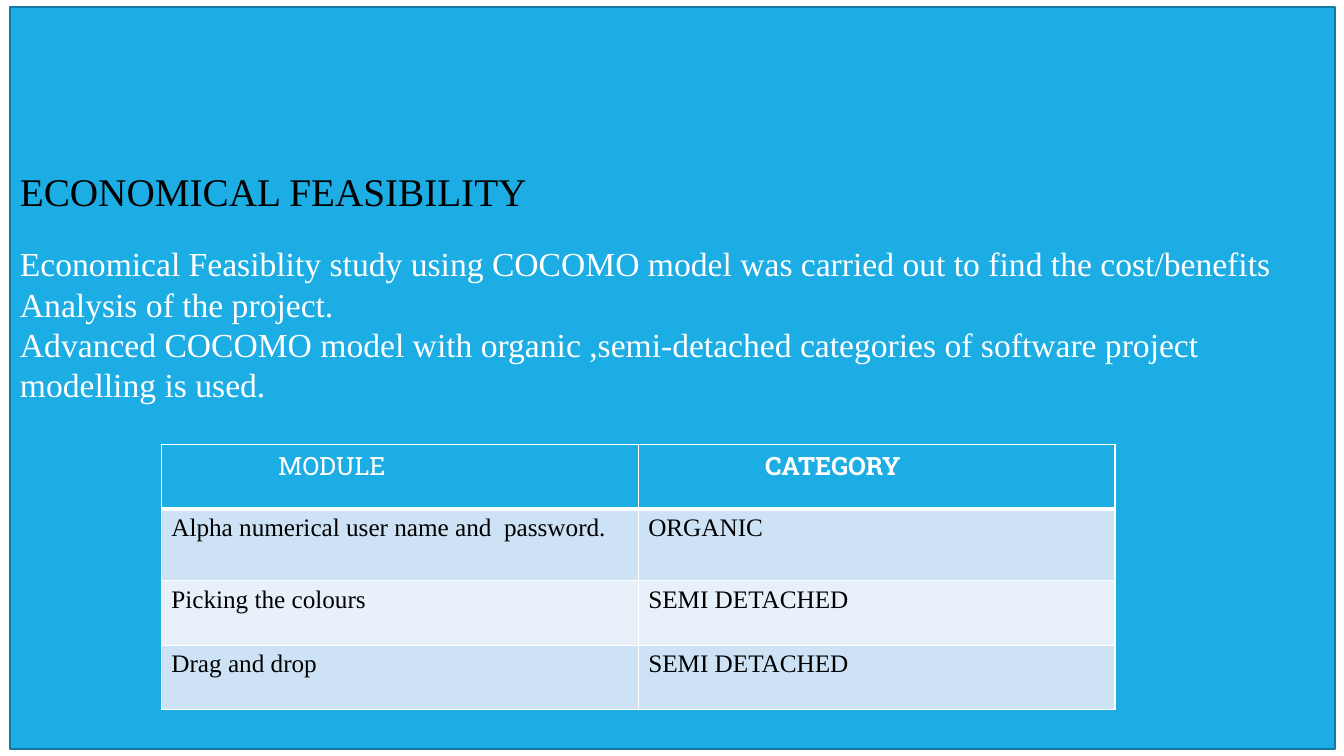
from lxml.etree import SubElement
from pptx import Presentation
from pptx.dml.color import RGBColor
from pptx.enum.shapes import MSO_SHAPE
from pptx.enum.text import MSO_ANCHOR, PP_ALIGN
from pptx.oxml.ns import qn
from pptx.util import Inches, Pt

WIDTH, HEIGHT = Inches(13.33), Inches(7.5)
COLOURS = {"blue": "1CADE4", "edge": "147AA1", "white": "FFFFFF",
           "black": "000000", "band": "CDE3F5", "pale": "E8F1FA"}
SERIF, SLAB = "Times New Roman", "Roboto Slab"
STATEMENTS = [
    "Economical Feasiblity study using COCOMO model was carried out to find the cost/benefits",
    "Analysis of the project.",
    "Advanced COCOMO model with organic ,semi-detached categories of software project modelling is used.",
]
HEADINGS = [("MODULE", False, 8.7), ("CATEGORY", True, 9.45)]
MODULES = [
    ("Alpha numerical user name and  password.", "ORGANIC"),
    ("Picking the colours", "SEMI DETACHED"),
    ("Drag and drop", "SEMI DETACHED"),
]
ROW_SHARES = [8.53, 9.5, 8.53, 8.53]


def across(percent):
    """Return a share of the slide width."""
    return round(WIDTH * percent / 100)


def down(percent):
    """Return a share of the slide height."""
    return round(HEIGHT * percent / 100)


def colour(name):
    """Look up a named colour."""
    return RGBColor.from_string(COLOURS[name])


def write(paragraph, text, size=18, ink="black", font=SERIF, bold=False, after=0):
    """Put formatted text into a paragraph."""
    paragraph.alignment = PP_ALIGN.LEFT
    paragraph.space_after = Pt(after)
    run = paragraph.add_run()
    run.text = text
    run.font.size, run.font.name, run.font.bold = Pt(size), font, bold
    run.font.color.rgb = colour(ink)


def add_panel(slide):
    """Add the blue panel holding the heading and statements."""
    panel = slide.shapes.add_shape(MSO_SHAPE.RECTANGLE, across(0.75), down(0.93),
                                   across(98.57), down(98.13))
    panel.shadow.inherit = False
    panel.fill.solid()
    panel.fill.fore_color.rgb = colour("blue")
    panel.line.color.rgb = colour("edge")
    panel.line.width = Pt(1.25)
    frame = panel.text_frame
    frame.word_wrap = True
    frame.vertical_anchor = MSO_ANCHOR.TOP
    frame.margin_top = down(21.2)
    write(frame.paragraphs[0], "ECONOMICAL FEASIBILITY", size=28, after=20.7)
    for statement in STATEMENTS:
        write(frame.add_paragraph(), statement, size=24, ink="white")


def style_cell(cell, fill, top=1, bottom=1):
    """Give a cell white borders and a solid fill."""
    properties = cell._tc.get_or_add_tcPr()
    for side, points in (("L", 1), ("R", 1), ("T", top), ("B", bottom)):
        border = SubElement(properties, qn(f"a:ln{side}"), w=str(Pt(points)))
        paint = SubElement(border, qn("a:solidFill"))
        SubElement(paint, qn("a:srgbClr"), val=COLOURS["white"])
    cell.fill.solid()
    cell.fill.fore_color.rgb = colour(fill)


def add_modules(slide):
    """Add the table of modules and their categories."""
    table = slide.shapes.add_table(len(ROW_SHARES), len(HEADINGS), across(12), down(58.8),
                                   across(70.97), down(sum(ROW_SHARES))).table
    for row, share in zip(table.rows, ROW_SHARES):
        row.height = down(share)
    for column, (heading, bold, indent) in enumerate(HEADINGS):
        cell = table.cell(0, column)
        style_cell(cell, "blue", bottom=3)
        cell.margin_left = across(indent)
        write(cell.text_frame.paragraphs[0], heading, ink="white", font=SLAB, bold=bold)
    for row, entries in enumerate(MODULES, start=1):
        for column, entry in enumerate(entries):
            cell = table.cell(row, column)
            style_cell(cell, "band" if row % 2 else "pale", top=3 if row == 1 else 1)
            write(cell.text_frame.paragraphs[0], entry)


def main():
    """Build and save the feasibility slide."""
    deck = Presentation()
    deck.slide_width, deck.slide_height = WIDTH, HEIGHT
    slide = deck.slides.add_slide(deck.slide_layouts[6])
    add_panel(slide)
    add_modules(slide)
    deck.save("out.pptx")


main()
